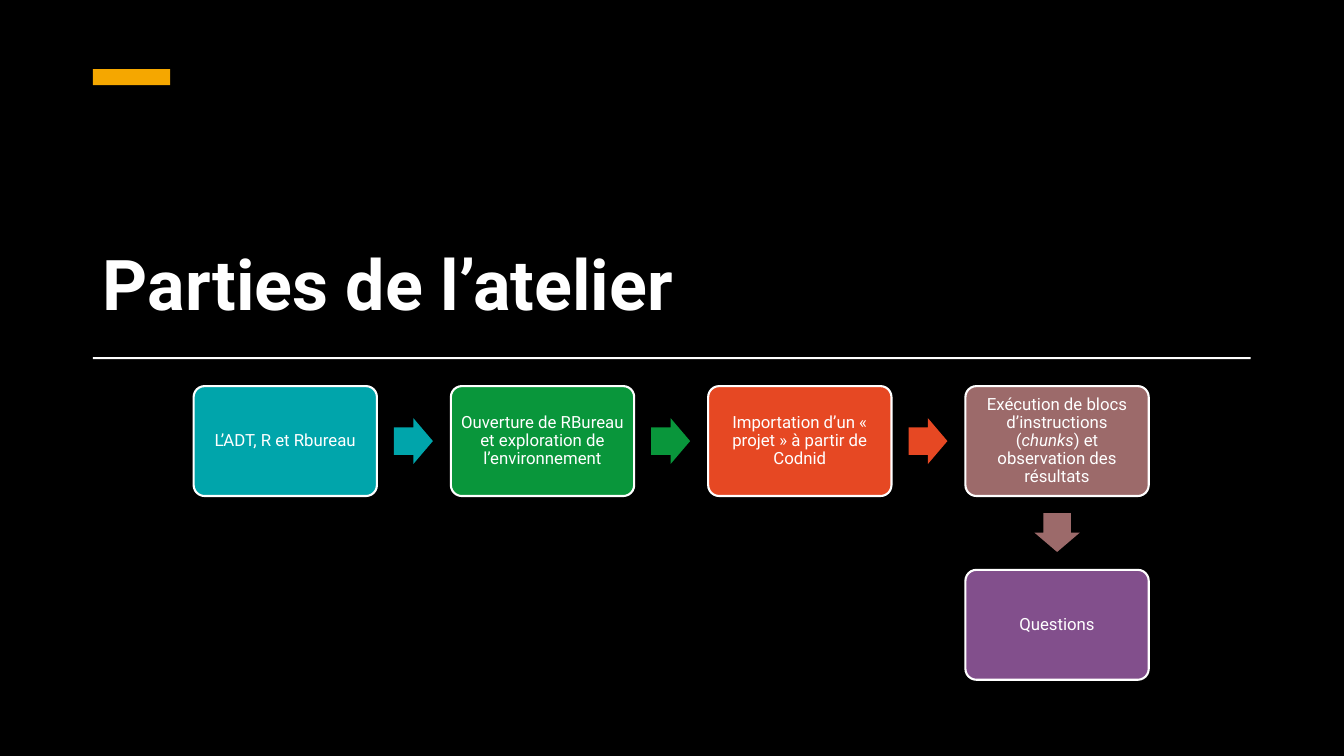
from pptx import Presentation
from pptx.dml.color import RGBColor
from pptx.enum.shapes import MSO_SHAPE
from pptx.enum.text import MSO_ANCHOR, MSO_AUTO_SIZE, PP_ALIGN
from pptx.util import Cm, Pt

WHITE = "FFFFFF"
FONT = "Roboto"

# Each step: fill colour, then runs of (text, italic)
STEPS = [
    ("00A5AB", [("L’ADT, R et Rbureau", False)]),
    ("09963B", [("Ouverture de RBureau et exploration de l’environnement", False)]),
    ("E64823", [("Importation d’un « projet » à partir de Codnid", False)]),
    ("9C6A6A", [("Exécution de blocs d’instructions (", False), ("chunks", True),
                (") et observation des résultats", False)]),
    ("824F8C", [("Questions", False)]),
]
COLS = 4


def paint(color, code):
    color.rgb = RGBColor.from_string(code)


def style(item, form):
    for name, value in form.items():
        setattr(item, name, value)


def write(frame, runs, size, align, bold=False):
    para = frame.paragraphs[0]
    style(para, {"alignment": align, "line_spacing": 0.9})
    for text, slant in runs:
        run = para.add_run()
        run.text = text
        style(run.font, {"name": FONT, "size": Pt(size), "bold": bold, "italic": slant})
        paint(run.font.color, WHITE)


def block(slide, kind, box, fill, adjust=()):
    shape = slide.shapes.add_shape(kind, *map(Cm, box))
    shape.shadow.inherit = False
    shape.fill.solid()
    paint(shape.fill.fore_color, fill)
    shape.line.fill.background()
    for i, value in enumerate(adjust):
        shape.adjustments[i] = value
    return shape


def header(slide, box):
    left, top, width, height = box
    # Accent bar and rule
    block(slide, MSO_SHAPE.RECTANGLE, (left, top, 1.95, 0.41), "F5A700")
    block(slide, MSO_SHAPE.RECTANGLE, (left, top + height - 0.05, width, 0.05), WHITE)
    # Title
    title = slide.shapes.title
    style(title, {"left": Cm(left), "top": Cm(top + 0.88),
                  "width": Cm(width), "height": Cm(5.71)})
    frame = title.text_frame
    style(frame, {"word_wrap": True, "auto_size": MSO_AUTO_SIZE.NONE,
                  "vertical_anchor": MSO_ANCHOR.BOTTOM})
    write(frame, [("Parties de l’atelier", False)], 50, PP_ALIGN.LEFT, bold=True)


def step(slide, box, fill, runs):
    card = block(slide, MSO_SHAPE.ROUNDED_RECTANGLE, box, fill, [0.1])
    paint(card.line.color, WHITE)
    card.line.width = Pt(1.5)
    frame = card.text_frame
    style(frame, {"word_wrap": True, "vertical_anchor": MSO_ANCHOR.MIDDLE})
    style(frame, {"margin_" + side: Cm(0.13) for side in ("left", "top", "right", "bottom")})
    write(frame, runs, 12, PP_ALIGN.CENTER)


def arrow(slide, mid, fill, turn):
    wide, high = 0.98, 1.15
    box = (mid[0] - wide / 2, mid[1] - high / 2, wide, high)
    block(slide, MSO_SHAPE.RIGHT_ARROW, box, fill, [0.6, 0.5]).rotation = turn


def flow(slide, box):
    left, top, width, height = box
    wide, high, reach = 4.62, 2.77, 0.92
    across = (width - wide) / (COLS - 1)
    down = height - high
    for i, (fill, runs) in enumerate(STEPS):
        # The path runs right, then drops below the last column
        col, row = min(i, COLS - 1), i // COLS
        x, y = left + col * across, top + row * down
        step(slide, (x, y, wide, high), fill, runs)
        if i < COLS - 1:
            arrow(slide, (x + wide + reach, y + high / 2), fill, 0)
        elif i < len(STEPS) - 1:
            arrow(slide, (x + wide / 2, y + high + reach), fill, 90)


def main():
    deck = Presentation()
    style(deck, {"slide_width": Cm(33.87), "slide_height": Cm(19.05)})
    slide = deck.slides.add_slide(deck.slide_layouts[5])
    back = slide.background.fill
    back.solid()
    paint(back.fore_color, "000000")
    header(slide, (2.34, 1.74, 29.18, 7.31))
    flow(slide, (4.88, 9.73, 24.07, 7.4))
    deck.save("out.pptx")


if __name__ == "__main__":
    main()
